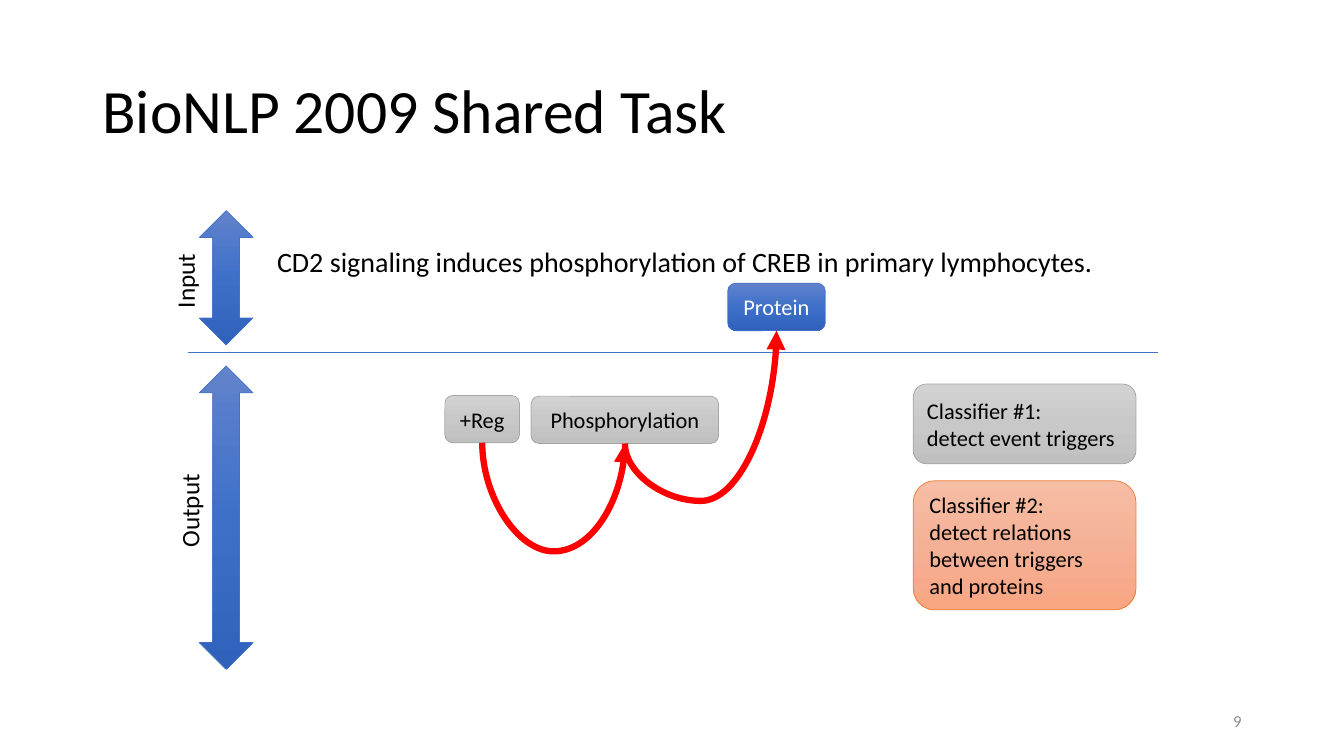
from collections import namedtuple

from lxml.etree import SubElement
from pptx import Presentation
from pptx.dml.color import RGBColor
from pptx.enum.shapes import MSO_CONNECTOR, MSO_SHAPE
from pptx.enum.text import MSO_ANCHOR, MSO_AUTO_SIZE, PP_ALIGN
from pptx.oxml.ns import qn
from pptx.util import Pt

Box = namedtuple("Box", "left top width height")

COLOURS = {
    "text": "000000",
    "light": "FFFFFF",
    "number": "8C8C8C",
    "blue": "4472C4",
    "grey": "A5A5A5",
    "orange": "ED7D31",
    "relation": "FF0000",
}
GRADIENTS = {
    "blue": ("6183CB", "3E70CA", "3062BB"),
    "grey": ("D2D2D2", "C8C8C8", "C0C0C0"),
    "orange": ("F7BDA5", "F5B196", "F8A582"),
}


def points(box):
    return [Pt(length) for length in box]


def inside(region, left, top, width, height):
    return Box(region.left + left, region.top + top, width, height)


def write(frame, lines, size, colour="text", align=PP_ALIGN.LEFT, anchor=MSO_ANCHOR.MIDDLE, wrap=True):
    frame.word_wrap = wrap
    frame.auto_size = MSO_AUTO_SIZE.NONE
    frame.vertical_anchor = anchor
    for index, line in enumerate(lines):
        para = frame.add_paragraph() if index else frame.paragraphs[0]
        para.alignment = align
        span = para.add_run()
        span.text = line
        span.font.name = "Calibri"
        span.font.size = Pt(size)
        span.font.color.rgb = RGBColor.from_string(COLOURS[colour])


def add_label(slide, box, text, size, rotation=0, **style):
    label = slide.shapes.add_textbox(*points(box))
    label.rotation = rotation
    write(label.text_frame, [text], size, **style)


def add_block(slide, kind, box, palette):
    block = slide.shapes.add_shape(kind, *points(box))
    block.shadow.inherit = False
    block.line.color.rgb = RGBColor.from_string(COLOURS[palette])
    block.line.width = Pt(0.5)
    block.fill.gradient()
    block.fill.gradient_angle = 270
    stops = block._element.spPr.find(".//" + qn("a:gsLst"))
    stops.clear()
    for position, colour in zip((0, 50000, 100000), GRADIENTS[palette]):
        stop = SubElement(stops, qn("a:gs"), pos=str(position))
        SubElement(stop, qn("a:srgbClr"), val=colour)
    return block


def add_node(slide, box, lines, palette, colour="text", align=PP_ALIGN.CENTER):
    node = add_block(slide, MSO_SHAPE.ROUNDED_RECTANGLE, box, palette)
    write(node.text_frame, lines, 16, colour, align)
    return node


def add_line(slide, kind, ends, colour, width):
    line = slide.shapes.add_connector(kind, *points(ends))
    line.line.color.rgb = RGBColor.from_string(COLOURS[colour])
    line.line.width = Pt(width)
    SubElement(line._element.spPr, qn("a:effectLst"))
    return line


def add_relation(slide, source, target, drop):
    start_x, end_x = (node.left + node.width // 2 for node in (source, target))
    start_y, end_y = (node.top + node.height for node in (source, target))
    across, rise = end_x - start_x, abs(end_y - start_y)
    upward = end_y < start_y

    curve = add_line(slide, MSO_CONNECTOR.CURVE, (0, 0, 0, 0), "relation", 4.5)
    curve.begin_connect(source, 2)
    curve.end_connect(target, 2)
    curve.left = (start_x + end_x - rise) // 2
    curve.top = (start_y + end_y - across) // 2
    curve.width, curve.height = rise, across

    properties = curve._element.spPr
    frame = properties.find(qn("a:xfrm"))
    frame.set("rot", str((90 if upward else 270) * 60000))
    frame.set("flipH", "1")
    frame.set("flipV", "1" if upward else "0")
    bend = round(Pt(drop) / rise * 100000) * (-1 if upward else 1)
    geometry = properties.find(qn("a:prstGeom"))
    guides = geometry.find(qn("a:avLst"))
    if guides is None:
        guides = SubElement(geometry, qn("a:avLst"))
    SubElement(guides, qn("a:gd"), name="adj1", fmla=f"val {bend}")
    SubElement(properties.find(qn("a:ln")), qn("a:tailEnd"), type="triangle")


def add_title(slide, box):
    title = slide.shapes.title
    title.left, title.top, title.width, title.height = points(box)
    write(title.text_frame, ["BioNLP 2009 Shared Task"], 44)
    title.text_frame.paragraphs[0].line_spacing = 0.9


def add_input(slide, box):
    add_block(slide, MSO_SHAPE.UP_DOWN_ARROW, inside(box, 8.5, 0, 38.2, 95.8), "blue")
    add_label(slide, inside(box, -29, 35.3, 54, 28.8), "Input", 18, 270, anchor=MSO_ANCHOR.TOP, wrap=False)
    sentence = "CD2 signaling induces phosphorylation of CREB in primary lymphocytes."
    add_label(slide, inside(box, 56.8, 20.9, 611.3, 31.7), sentence, 20, anchor=MSO_ANCHOR.TOP)
    return add_node(slide, inside(box, 385.8, 51.8, 69.8, 33.9), ["Protein"], "blue", "light")


def add_output(slide, box, protein):
    edge = Box(box.left, box.top, box.left + box.width, box.top)
    add_line(slide, MSO_CONNECTOR.STRAIGHT, edge, "blue", 1)
    add_block(slide, MSO_SHAPE.UP_DOWN_ARROW, inside(box, 8.5, 9.4, 38.2, 216.7), "blue")
    add_label(slide, inside(box, -32.5, 97.9, 67.7, 28.8), "Output", 18, 270, anchor=MSO_ANCHOR.TOP, wrap=False)

    trigger = add_node(slide, inside(box, 245.4, 31, 133.9, 33.8), ["Phosphorylation"], "grey")
    regulation = add_node(slide, inside(box, 183.8, 30.5, 53.3, 33.8), ["+Reg"], "grey")
    add_relation(slide, trigger, protein, 41)
    add_relation(slide, regulation, trigger, 76)

    classifiers = (
        (22.3, 56.9, "grey", ["Classifier #1:", "detect event triggers"]),
        (91.4, 92.2, "orange", ["Classifier #2:", "detect relations between triggers and proteins"]),
    )
    for top, height, palette, lines in classifiers:
        add_node(slide, inside(box, 518.3, top, 159.1, height), lines, palette, align=PP_ALIGN.LEFT)


def main():
    deck = Presentation()
    deck.slide_width, deck.slide_height = Pt(960), Pt(540)
    page = deck.slides.add_slide(deck.slide_layouts[5])
    add_title(page, Box(66, 28.8, 828, 104.4))
    protein = add_input(page, Box(134, 150.5, 693.4, 101.5))
    add_output(page, Box(134, 252, 693.4, 226.5), protein)
    add_label(page, Box(678, 500.5, 216, 28.8), "9", 12, colour="number", align=PP_ALIGN.RIGHT)
    deck.save("out.pptx")


if __name__ == "__main__":
    main()
